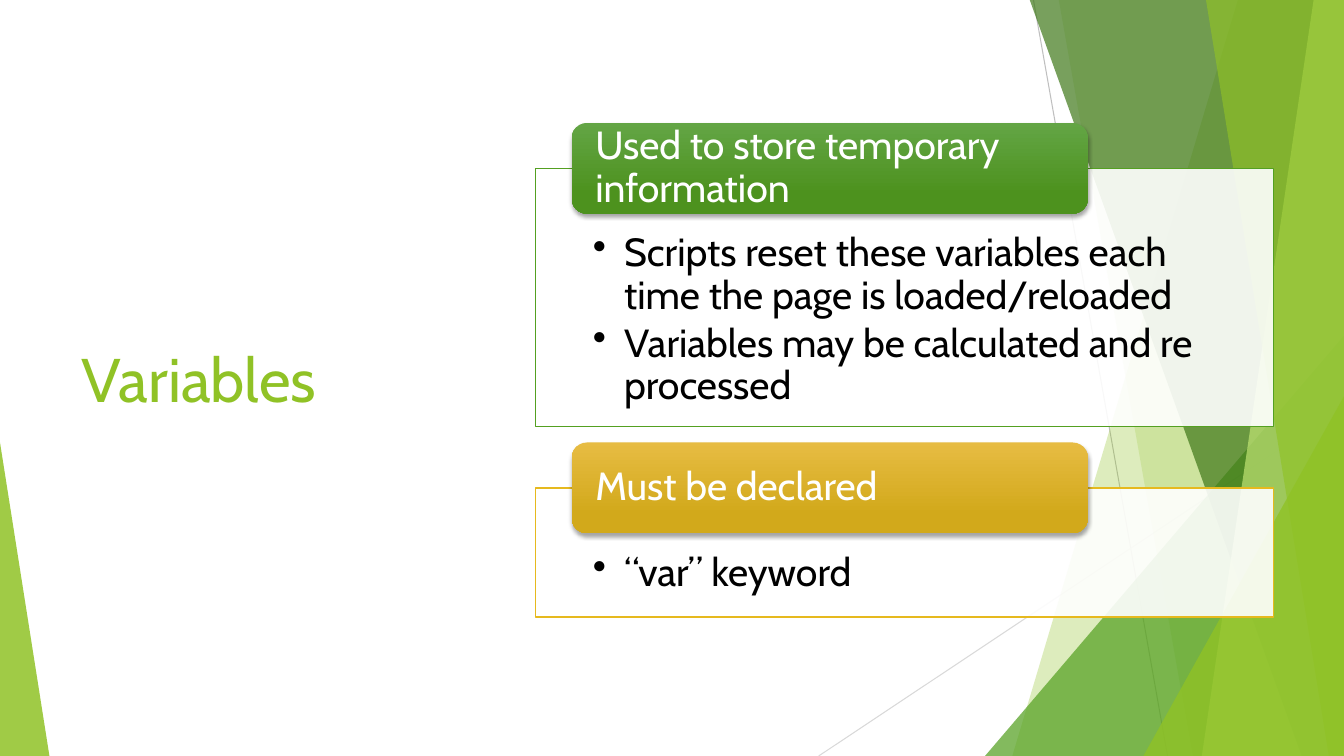
import pptx
import pptx.dml.color
import pptx.enum.shapes
import pptx.enum.text
import pptx.oxml
import pptx.oxml.ns
import pptx.util

Inches = pptx.util.Inches
Pt = pptx.util.Pt
Shape = pptx.enum.shapes.MSO_SHAPE
Anchor = pptx.enum.text.MSO_ANCHOR
FONT = "Cabin"
GREEN = "90C226"
DARK_GREEN = "54A021"
GOLD = "E6B91E"
WIDTH, HEIGHT = 13.33, 7.5
CARD_LEFT, CARD_WIDTH = 5.31, 7.32
HEADER_LEFT, HEADER_WIDTH, HEADER_HEIGHT = 5.67, 5.12, 0.9
HEADER_RISE = 0.45


def color(value):
    """Turn a hex string into a colour."""
    return pptx.dml.color.RGBColor.from_string(value)


def add_xml(parent, markup):
    """Append one DrawingML element to a parent."""
    namespace = pptx.oxml.ns.nsdecls("a")
    parent.append(pptx.oxml.parse_xml(markup.replace("/>", f" {namespace}/>", 1)
                  if markup.count("<") == 1 else markup.replace(">", f" {namespace}>", 1)))


def paint(shape, fill, opacity, line=None):
    """Give a shape a translucent fill and an optional outline."""
    shape.shadow.inherit = False
    shape.fill.solid()
    shape.fill.fore_color.rgb = color(fill)
    fill_color = shape._element.spPr.find(".//" + pptx.oxml.ns.qn("a:srgbClr"))
    add_xml(fill_color, f'<a:alpha val="{opacity * 1000}"/>')
    if line:
        shape.line.color.rgb = color(line)
        shape.line.width = Pt(1)
    else:
        shape.line.fill.background()


def add_hairline(slide, start, end, line):
    """Draw a thin background line."""
    points = [Inches(value) for value in start + end]
    connector = slide.shapes.add_connector(pptx.enum.shapes.MSO_CONNECTOR.STRAIGHT, *points)
    connector.line.color.rgb = color(line)
    connector.line.width = Pt(0.75)
    add_xml(connector._element.spPr, "<a:effectLst/>")


def add_band(slide, top_left, bottom_left, fill, opacity):
    """Draw a slanted band that reaches the right edge of the slide."""
    top = -0.01
    builder = slide.shapes.build_freeform(Inches(top_left), Inches(top))
    corners = [(WIDTH, top), (WIDTH, HEIGHT), (bottom_left, HEIGHT)]
    builder.add_line_segments([(Inches(x), Inches(y)) for x, y in corners], close=True)
    paint(builder.convert_to_shape(), fill, opacity)


def add_triangle(slide, left, top, width, apex, fill, opacity):
    """Draw a triangle that stands on the bottom edge of the slide."""
    shape = slide.shapes.add_shape(Shape.ISOSCELES_TRIANGLE, Inches(left), Inches(top),
                                   Inches(width), Inches(HEIGHT - top))
    shape.adjustments[0] = apex
    paint(shape, fill, opacity)


def set_frame(shape, anchor, margins):
    """Prepare a wrapping text frame with margins as left, top, right, bottom."""
    frame = shape.text_frame
    frame.word_wrap = True
    frame.vertical_anchor = anchor
    frame.margin_left, frame.margin_top, frame.margin_right, frame.margin_bottom = (
        Inches(margin) for margin in margins)
    return frame


def write(paragraph, text, size, text_color):
    """Add one left-aligned run to a paragraph."""
    paragraph.alignment = pptx.enum.text.PP_ALIGN.LEFT
    run = paragraph.add_run()
    run.text = text
    run.font.name = FONT
    run.font.size = Pt(size)
    run.font.color.rgb = color(text_color)


def add_title(slide, text):
    """Add the slide title."""
    box = slide.shapes.add_textbox(Inches(0.71), Inches(1.51), Inches(3.88), Inches(4.48))
    frame = set_frame(box, Anchor.MIDDLE, (0.1, 0.05, 0.1, 0.05))
    write(frame.paragraphs[0], text, 44, GREEN)


def add_card(slide, top, height, line, bullets):
    """Draw an outlined card with its bullets."""
    shape = slide.shapes.add_shape(Shape.RECTANGLE, Inches(CARD_LEFT), Inches(top),
                                   Inches(CARD_WIDTH), Inches(height))
    paint(shape, "FFFFFF", 90, line)
    frame = set_frame(shape, Anchor.TOP, (0.57, 0.64, 0.57, 0.22))
    for index, bullet in enumerate(bullets):
        paragraph = frame.add_paragraph() if index else frame.paragraphs[0]
        write(paragraph, bullet, 28, "000000")
        paragraph.line_spacing = 0.9
        paragraph.space_after = Pt(4.2)
        properties = paragraph._p.get_or_add_pPr()
        properties.set("marL", str(Inches(0.31)))
        properties.set("indent", str(-Inches(0.31)))
        add_xml(properties, '<a:buChar char="•"/>')


def add_header(slide, top, text, gradient):
    """Draw a rounded gradient header with a soft shadow."""
    shape = slide.shapes.add_shape(Shape.ROUNDED_RECTANGLE, Inches(HEADER_LEFT), Inches(top),
                                   Inches(HEADER_WIDTH), Inches(HEADER_HEIGHT))
    shape.fill.gradient()
    shape.fill.gradient_angle = 270
    for stop, position, value in zip(shape.fill.gradient_stops, (0, 0.78), gradient):
        stop.position = position
        stop.color.rgb = color(value)
    shape.line.fill.background()
    shape.shadow.inherit = False
    effects = shape._element.spPr.find(pptx.oxml.ns.qn("a:effectLst"))
    add_xml(effects, f'<a:outerShdw blurRad="{Pt(3)}" dist="{Pt(2)}" dir="5400000" rotWithShape="0">'
                     '<a:srgbClr val="000000"><a:alpha val="35000"/></a:srgbClr></a:outerShdw>')
    paragraph = set_frame(shape, Anchor.MIDDLE, (0.19, 0, 0.19, 0)).paragraphs[0]
    write(paragraph, text, 28, "FFFFFF")
    paragraph.line_spacing = 0.9


def add_backdrop(slide):
    """Draw the faceted decoration from back to front."""
    add_hairline(slide, (10.25, 0), (11.58, HEIGHT), "BFBFBF")
    add_hairline(slide, (WIDTH, 4.03), (8.12, HEIGHT), "D9D9D9")
    add_band(slide, 12.28, 10.04, GREEN, 30)
    add_band(slide, 10.5, 11.83, GREEN, 20)
    add_triangle(slide, 9.77, 3.33, 3.56, 1, DARK_GREEN, 72)
    add_band(slide, 10.21, 12.91, "3F7819", 70)
    add_band(slide, 13.03, 11.92, "C0E474", 70)
    add_band(slide, 11.96, 13.18, GREEN, 65)
    add_triangle(slide, 11.34, 3.93, 1.99, 1, GREEN, 80)
    add_triangle(slide, 0, 4.39, 0.49, 0, GREEN, 85)


def main():
    """Build and save the slide."""
    presentation = pptx.Presentation()
    presentation.slide_width = Inches(WIDTH)
    presentation.slide_height = Inches(HEIGHT)
    slide = presentation.slides.add_slide(presentation.slide_layouts[6])
    add_backdrop(slide)
    add_title(slide, "Variables")
    sections = [
        (1.67, 2.56, DARK_GREEN, ("63A545", "4D921E"), "Used to store temporary information",
         ["Scripts reset these variables each time the page is loaded/reloaded",
          "Variables may be calculated and re processed"]),
        (4.84, 1.28, GOLD, ("E7BC43", "D2A91B"), "Must be declared", ["“var” keyword"]),
    ]
    for top, height, line, gradient, heading, bullets in sections:
        add_card(slide, top, height, line, bullets)
        add_header(slide, top - HEADER_RISE, heading, gradient)
    presentation.save("out.pptx")


if __name__ == "__main__":
    main()
